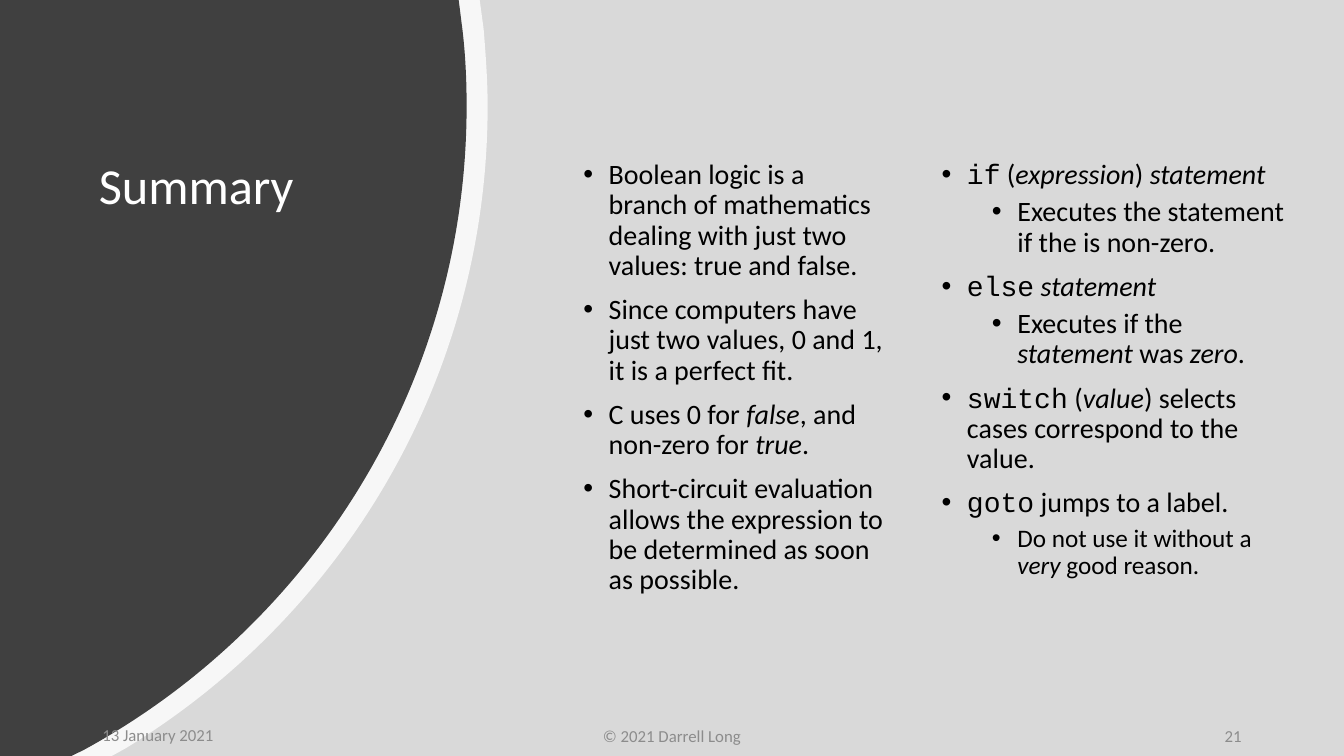
from lxml import etree
from pptx import Presentation
from pptx.dml.color import RGBColor
from pptx.enum.shapes import MSO_SHAPE
from pptx.enum.text import MSO_ANCHOR, PP_ALIGN
from pptx.oxml.ns import qn
from pptx.util import Cm, Pt

RECT = MSO_SHAPE.RECTANGLE
TOP, MIDDLE = MSO_ANCHOR.TOP, MSO_ANCHOR.MIDDLE
LEFT, CENTER, RIGHT = PP_ALIGN.LEFT, PP_ALIGN.CENTER, PP_ALIGN.RIGHT
COLORS = {"back": "D9D9D9", "rim": "FFFFFF", "disc": "404040",
          "title": "FFFFFF", "text": "000000", "foot": "8C8C8C"}
FONT, MONO = "Calibri", "Courier New"
WIDE, HIGH = 33.87, 19.05

deck = Presentation()
deck.slide_width, deck.slide_height = Cm(WIDE), Cm(HIGH)
slide = deck.slides.add_slide(deck.slide_layouts[6])


def paint(shape, name):
    shape.shadow.inherit = False
    shape.fill.solid()
    shape.fill.fore_color.rgb = RGBColor.from_string(COLORS[name])
    shape.line.fill.background()


def add_text(place, items, color, align=LEFT, anchor=TOP):
    """Items are (level, size, text); level None has no bullet.
    Runs are split by |, with * for italic and ` for code."""
    frame = slide.shapes.add_textbox(*[Cm(v) for v in place]).text_frame
    frame.word_wrap = True
    frame.vertical_anchor = anchor
    for i, (level, size, text) in enumerate(items):
        para = frame.paragraphs[0] if i == 0 else frame.add_paragraph()
        para.alignment = align
        para.line_spacing = 0.9 if anchor == TOP else 1.0
        para.space_before = Pt(0 if i == 0 else 5 if level else 10)
        if level is not None:
            para.level = level
            props = para._p.get_or_add_pPr()
            props.set("marL", str(Cm(0.64 + 1.27 * level)))
            props.set("indent", str(-Cm(0.64)))
            etree.SubElement(props, qn("a:buFont")).set("typeface", "Arial")
            etree.SubElement(props, qn("a:buChar")).set("char", "•")
        para.font.size = Pt(size)
        para.font.name = FONT
        para.font.color.rgb = RGBColor.from_string(COLORS[color])
        for part in text.split("|"):
            run = para.add_run()
            run.text = part.lstrip("*`")
            if part[0] == "*":
                run.font.italic = True
            elif part[0] == "`":
                run.font.name = MONO


# Background
paint(slide.shapes.add_shape(RECT, 0, 0, Cm(WIDE), Cm(HIGH)), "back")

# Round panel: points 2-4 and 5-7 of each edge are Bezier curves
panels = [
    ("rim", [(12.09, 0), (12.19, 0.74),
             (12.24, 1.37), (12.29, 2.03), (12.29, 2.67),
             (12.29, 9.53), (8.64, 15.52), (3.18, 18.85),
             (2.82, HIGH), (0, HIGH)]),
    ("disc", [(11.56, 0), (11.66, 0.79),
              (11.73, 1.4), (11.76, 2.03), (11.76, 2.67),
              (11.76, 9.68), (7.85, 15.77), (2.11, 18.9),
              (1.8, HIGH), (0, HIGH)]),
]
for name, edge in panels:
    form = slide.shapes.build_freeform(0, 0)
    form.add_line_segments([(Cm(x), Cm(y)) for x, y in edge], close=True)
    panel = form.convert_to_shape()
    paint(panel, name)
    props = panel._element.spPr
    lines = list(props.iter(qn("a:lnTo")))
    for first in (2, 5):
        curve = etree.Element(qn("a:cubicBezTo"))
        lines[first].addprevious(curve)
        for line in lines[first:first + 3]:
            curve.append(line[0])
            line.getparent().remove(line)
    if name == "rim":
        tint = props.find(".//" + qn("a:srgbClr"))
        etree.SubElement(tint, qn("a:alpha")).set("val", "80000")

# Title
add_text((2.24, 3.92, 7.98, 5.99), [(None, 36, "Summary")], "title")

# Two columns of points
logic = [
    (0, 20, "Boolean logic is a branch of mathematics dealing with just two "
            "values: true and false."),
    (0, 20, "Since computers have just two values, 0 and 1, it is a perfect fit."),
    (0, 20, "C uses 0 for |*false|, and non-zero for |*true|."),
    (0, 20, "Short-circuit evaluation allows the expression to be determined "
            "as soon as possible."),
]
flow = [
    (0, 20, "`if| (|*expression|) |*statement"),
    (1, 20, "Executes the statement if the is non-zero."),
    (0, 20, "`else| |*statement"),
    (1, 20, "Executes if the |*statement| was |*zero|."),
    (0, 20, "`switch| (|*value|) selects cases correspond to the value."),
    (0, 20, "`goto| jumps to a label."),
    (1, 18, "Do not use it without a |*very| good reason."),
]
add_text((14.45, 3.92, 8.13, 12.12), logic, "text")
add_text((23.48, 3.92, 9.22, 12.12), flow, "text")

# Footer
for x, y, w, text, align in [
    (11.22, 18.03, 11.43, "© 2021 Darrell Long", CENTER),
    (23.92, 18.03, 7.62, "21", RIGHT),
    (2.33, 18.01, 7.62, "13 January 2021", LEFT),
]:
    add_text((x, y, w, 1.02), [(None, 12, text)], "foot", align, MIDDLE)

deck.save("out.pptx")
